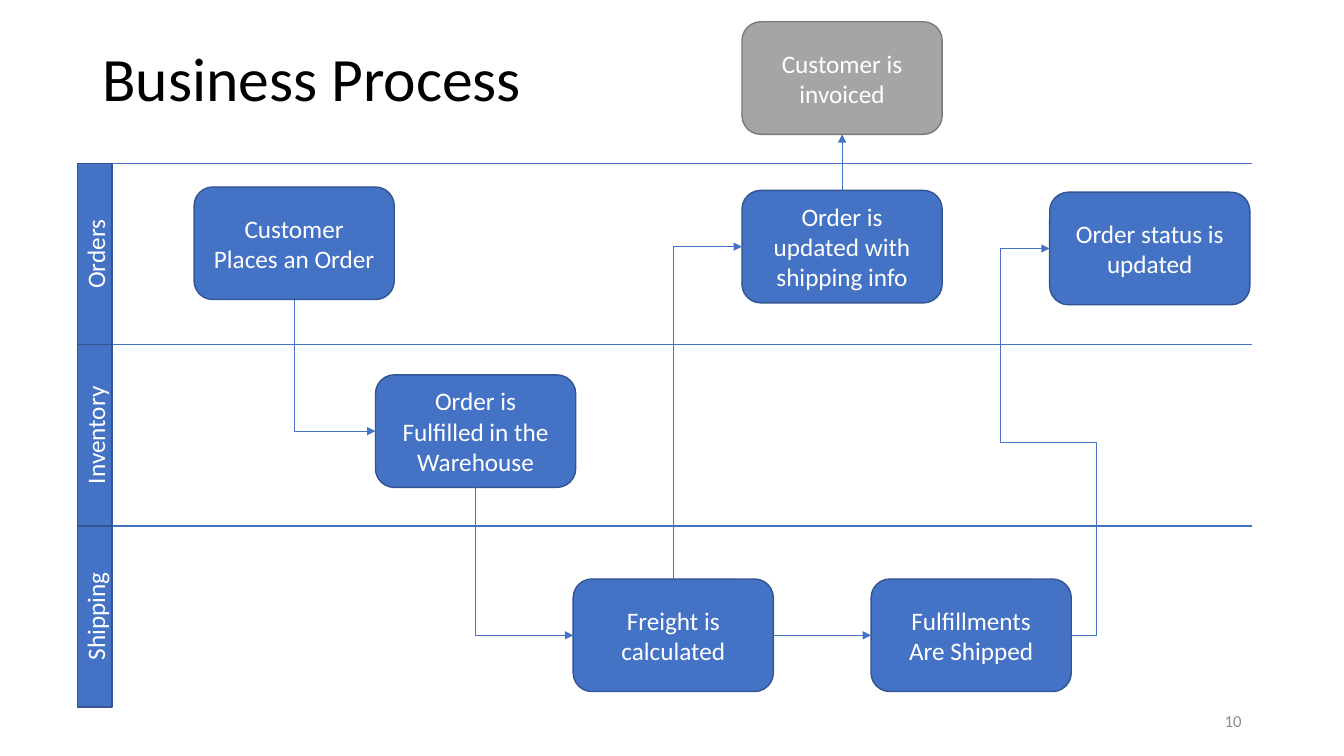
import pptx
import pptx.util
import pptx.dml.color
import pptx.enum.shapes
import pptx.enum.text
import pptx.oxml
import pptx.oxml.ns

Pt = pptx.util.Pt
SHAPES = pptx.enum.shapes.MSO_SHAPE
CONNECTORS = pptx.enum.shapes.MSO_CONNECTOR
ALIGN = pptx.enum.text.PP_ALIGN
MIDDLE = pptx.enum.text.MSO_ANCHOR.MIDDLE

COLORS = {
    "blue": "4472C4", "blue_edge": "325491",
    "gray": "A5A5A5", "gray_edge": "7A7A7A",
    "black": "000000", "white": "FFFFFF", "page": "8C8C8C",
}
TOP, LEFT, BOTTOM, RIGHT = range(4)  # connection sites of a step


def rgb(name):
    return pptx.dml.color.RGBColor.from_string(COLORS[name])


def set_all(target, values):
    for name, value in values.items():
        setattr(target, name, value)


def drawing_element(tag, attributes=""):
    """Make an empty element in the DrawingML namespace."""
    return pptx.oxml.parse_xml(
        f"<a:{tag} {pptx.oxml.ns.nsdecls('a')} {attributes}/>")


class ProcessSlide:
    font = "Calibri"
    step_size = (143, 80.4)

    def __init__(self, slide):
        self.shapes = slide.shapes

    def set_text(self, element, text, size, color, align):
        frame = element.text_frame
        frame.text = text
        set_all(frame, {"word_wrap": True, "vertical_anchor": MIDDLE,
                        "auto_size": pptx.enum.text.MSO_AUTO_SIZE.NONE})
        for paragraph in frame.paragraphs:
            paragraph.alignment = align
            for run in paragraph.runs:
                set_all(run.font, {"name": self.font, "size": Pt(size)})
                run.font.color.rgb = rgb(color)

    def title(self, text, left, top, width, height):
        heading = self.shapes.title
        set_all(heading, {"left": Pt(left), "top": Pt(top),
                          "width": Pt(width), "height": Pt(height)})
        self.set_text(heading, text, 44, "black", ALIGN.LEFT)
        heading.text_frame.paragraphs[0].line_spacing = 0.9

    def page_number(self, text, *box):
        number = self.shapes.add_textbox(*map(Pt, box))
        self.set_text(number, text, 12, "page", ALIGN.RIGHT)

    def block(self, preset, text, box, color="blue"):
        block = self.shapes.add_shape(preset, *map(Pt, box))
        block.shadow.inherit = False
        block.fill.solid()
        block.fill.fore_color.rgb = rgb(color)
        block.line.color.rgb = rgb(color + "_edge")
        block.line.width = Pt(1)
        self.set_text(block, text, 18, "white", ALIGN.CENTER)
        return block

    def step(self, text, left, top, color="blue"):
        return self.block(SHAPES.FLOWCHART_ALTERNATE_PROCESS, text,
                          (left, top, *self.step_size), color)

    def lane_label(self, text, center_x, center_y, length, thickness):
        box = (center_x - length / 2, center_y - thickness / 2, length, thickness)
        self.block(SHAPES.RECTANGLE, text, box).rotation = 270

    def line(self, kind, ends, width):
        line = self.shapes.add_connector(kind, *map(Pt, ends))
        line.line.color.rgb = rgb("blue")
        line.line.width = Pt(width)
        line._element.spPr.append(drawing_element("effectLst"))
        return line

    def arrow(self, source, source_site, target, target_site,
              kind=CONNECTORS.STRAIGHT):
        arrow = self.line(kind, (0, 0, 0, 0), 0.5)
        arrow.begin_connect(source, source_site)
        arrow.end_connect(target, target_site)
        outline = arrow._element.spPr.get_or_add_ln()
        outline.append(drawing_element("tailEnd", 'type="triangle"'))
        return arrow

    def corner_arrow(self, source, source_site, target):
        """Leave vertically, turn once and enter the target from its left."""
        arrow = self.arrow(source, source_site, target, LEFT, CONNECTORS.ELBOW)
        across, along = arrow.width, arrow.height
        center_x, center_y = arrow.left + across // 2, arrow.top + along // 2
        set_all(arrow, {"left": center_x - along // 2, "top": center_y - across // 2,
                        "width": along, "height": across})
        down = source_site == BOTTOM
        xfrm = arrow._element.spPr.xfrm
        xfrm.set("rot", str((270 if down else 90) * 60000))
        xfrm.set("flipH", "1")
        xfrm.set("flipV", "0" if down else "1")
        arrow._element.spPr.prstGeom.set("prst", "bentConnector2")

    def return_arrow(self, source, target, out, back):
        """Leave to the right by `out`, pass left of the target by `back`."""
        arrow = self.arrow(source, RIGHT, target, LEFT, CONNECTORS.ELBOW)
        geometry = arrow._element.spPr.prstGeom
        geometry.set("prst", "bentConnector5")
        ratios = (-Pt(out) / arrow.width, 0.5, 1 + Pt(back) / arrow.width)
        guides = geometry.get_or_add_avLst()
        for number, ratio in enumerate(ratios, 1):
            guides.append(drawing_element(
                "gd", f'name="adj{number}" fmla="val {round(ratio * 100000)}"'))


def main():
    deck = pptx.Presentation()
    set_all(deck, {"slide_width": Pt(960), "slide_height": Pt(540)})
    process = ProcessSlide(deck.slides.add_slide(deck.slide_layouts[5]))

    process.title("Business Process", 66, 28.75, 828, 59)
    process.page_number("10", 678, 500.5, 216, 28.75)

    lanes_left, lanes_right, lanes_top = 55.5, 894, 116.8
    lane_height, label_width = 129.4, 24.6
    for index, lane in enumerate(("Orders", "Inventory", "Shipping")):
        lane_top = lanes_top + index * lane_height
        process.line(CONNECTORS.STRAIGHT,
                     (lanes_left, lane_top, lanes_right, lane_top), 1)
        process.lane_label(lane, lanes_left + label_width / 2,
                           lane_top + lane_height / 2, lane_height, label_width)

    placed = process.step("Customer\nPlaces an Order", 138.6, 133.6)
    fulfilled = process.step("Order is\nFulfilled in the Warehouse", 268.2, 267.8)
    freight = process.step("Freight is calculated", 409.4, 413.6)
    invoiced = process.step("Customer is invoiced", 530, 15.6, "gray")
    informed = process.step("Order is updated with shipping info", 530, 136)
    shipped = process.step("Fulfillments\nAre Shipped", 622.2, 413.6)
    updated = process.step("Order status is updated", 749.8, 137.3)

    process.corner_arrow(placed, BOTTOM, fulfilled)
    process.corner_arrow(fulfilled, BOTTOM, freight)
    process.corner_arrow(freight, TOP, informed)
    process.arrow(informed, TOP, invoiced, BOTTOM)
    process.arrow(freight, RIGHT, shipped, LEFT)
    process.return_arrow(shipped, updated, 18, 35)

    deck.save("out.pptx")


if __name__ == "__main__":
    main()
